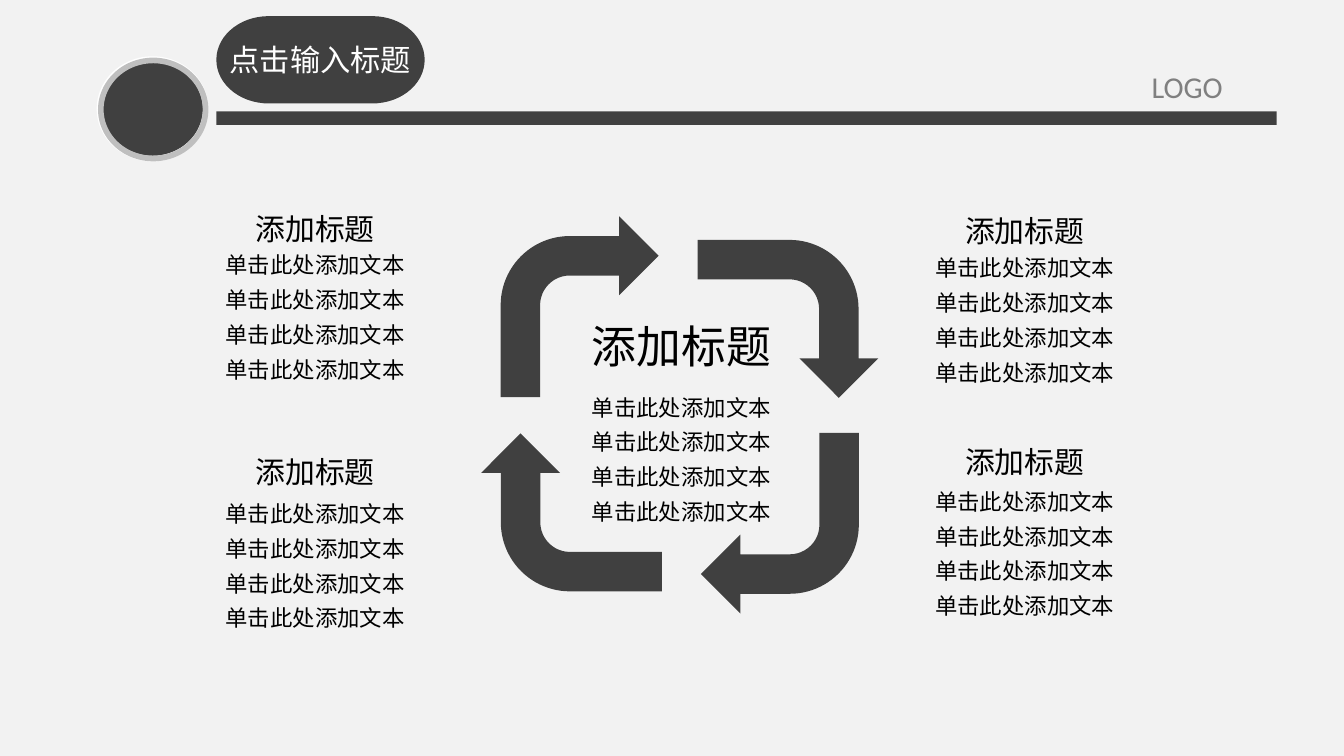
import math
import pptx
import pptx.util
import pptx.dml.color
import pptx.enum.shapes
import pptx.enum.text
import pptx.oxml.ns
import lxml.etree

COLORS = {"back": "F2F2F2", "dark": "404040", "ring": "BFBFBF",
          "white": "FFFFFF", "logo": "808080", "text": "000000"}
SHAPE = pptx.enum.shapes.MSO_SHAPE
ALIGN = pptx.enum.text.PP_ALIGN
CJK = "Noto Sans CJK SC"


class Deck:
    columns, rows = 100, 56.25

    def __init__(self, prs):
        self.prs = prs
        self.s = prs.slides.add_slide(prs.slide_layouts[6])
        fill = self.s.background.fill
        fill.solid()
        fill.fore_color.rgb = self.color("back")

    def color(self, name):
        return pptx.dml.color.RGBColor.from_string(COLORS[name])

    def x(self, column):
        return round(column * self.prs.slide_width / self.columns)

    def y(self, row):
        return round(row * self.prs.slide_height / self.rows)

    def box(self, left, top, width, height):
        return self.x(left), self.y(top), self.x(width), self.y(height)

    def paint(self, sp, fill=None, line=None):
        sp.shadow.inherit = False
        if fill:
            sp.fill.solid()
            sp.fill.fore_color.rgb = self.color(fill)
        else:
            sp.fill.background()
        if line:
            sp.line.color.rgb = self.color(line)
            sp.line.width = pptx.util.Pt(3)
        else:
            sp.line.fill.background()

    def shape(self, kind, at, fill=None, line=None, rotation=0):
        sp = self.s.shapes.add_shape(kind, *self.box(*at))
        sp.rotation = rotation
        self.paint(sp, fill, line)

    def pill(self, left, top, width, height, cap):
        points = []
        for center, start in ((left + width - cap, -90), (left + cap, 90)):
            for degrees in range(start, start + 181, 6):
                a = math.radians(degrees)
                points.append((self.x(center + cap * math.cos(a)),
                               self.y(top + height / 2 * (1 + math.sin(a)))))
        builder = self.s.shapes.build_freeform(*points[0])
        builder.add_line_segments(points[1:], close=True)
        self.paint(builder.convert_to_shape(), "dark")

    def text(self, at, lines, size, color="text", font=CJK,
             align=ALIGN.CENTER, spacing=None):
        tf = self.s.shapes.add_textbox(*self.box(*at)).text_frame
        tf.word_wrap = True
        tf.auto_size = pptx.enum.text.MSO_AUTO_SIZE.SHAPE_TO_FIT_TEXT
        tf.text = "\n".join(lines)
        for p in tf.paragraphs:
            p.alignment = align
            p.line_spacing = spacing
            p.font.size = pptx.util.Pt(size)
            p.font.name = font
            p.font.color.rgb = self.color(color)
            props = p._p.pPr.find(pptx.oxml.ns.qn("a:defRPr"))
            lxml.etree.SubElement(props, pptx.oxml.ns.qn("a:ea"), typeface=font)

    def block(self, center, top, body_top, size=16, width=15, height=3.7):
        self.text((center - width / 2, top, width, height), ["添加标题"], size)
        self.text((center - 9.85, body_top, 19.7, 11.5),
                  ["单击此处添加文本"] * 4, 12, spacing=1.3)


def main():
    prs = pptx.Presentation()
    prs.slide_width = pptx.util.Inches(10)
    prs.slide_height = prs.slide_width * 9 // 16
    deck = Deck(prs)

    deck.text((84.7, 4.6, 8.8, 3.7), ["LOGO"], 16.2, "logo", "Calibri", ALIGN.LEFT)
    deck.shape(SHAPE.OVAL, (7.4, 4.6, 7.9, 7.1), fill="dark")
    deck.shape(SHAPE.OVAL, (7.4, 4.4, 7.9, 7.4), line="white")
    deck.shape(SHAPE.OVAL, (7.5, 4.5, 7.8, 7.3), line="ring")
    deck.shape(SHAPE.RECTANGLE, (16.1, 8.3, 78.9, 1), fill="dark")
    deck.pill(16.1, 1.2, 15.5, 6.5, 3.9)
    deck.text((16.1, 2.6, 16.3, 3.7), ["点击输入标题"], 16.2, "white",
              "Noto Sans CJK JP", ALIGN.LEFT)

    for left, top, rotation in ((37.25, 16.1, 0), (52.75, 17, 90),
                                (52.15, 32.2, 180), (36.65, 31.4, 270)):
        deck.shape(SHAPE.BENT_ARROW, (left, top, 11.75, 13.45), "dark",
                   rotation=rotation)

    deck.block(50.7, 23.2, 28.2, size=24, width=17.9, height=5)
    for center, top, body_top in ((76.25, 15.3, 17.8), (76.25, 32.5, 35.2),
                                  (23.45, 15.2, 17.6), (23.45, 33.3, 36.1)):
        deck.block(center, top, body_top)

    prs.save("out.pptx")


if __name__ == "__main__":
    main()
